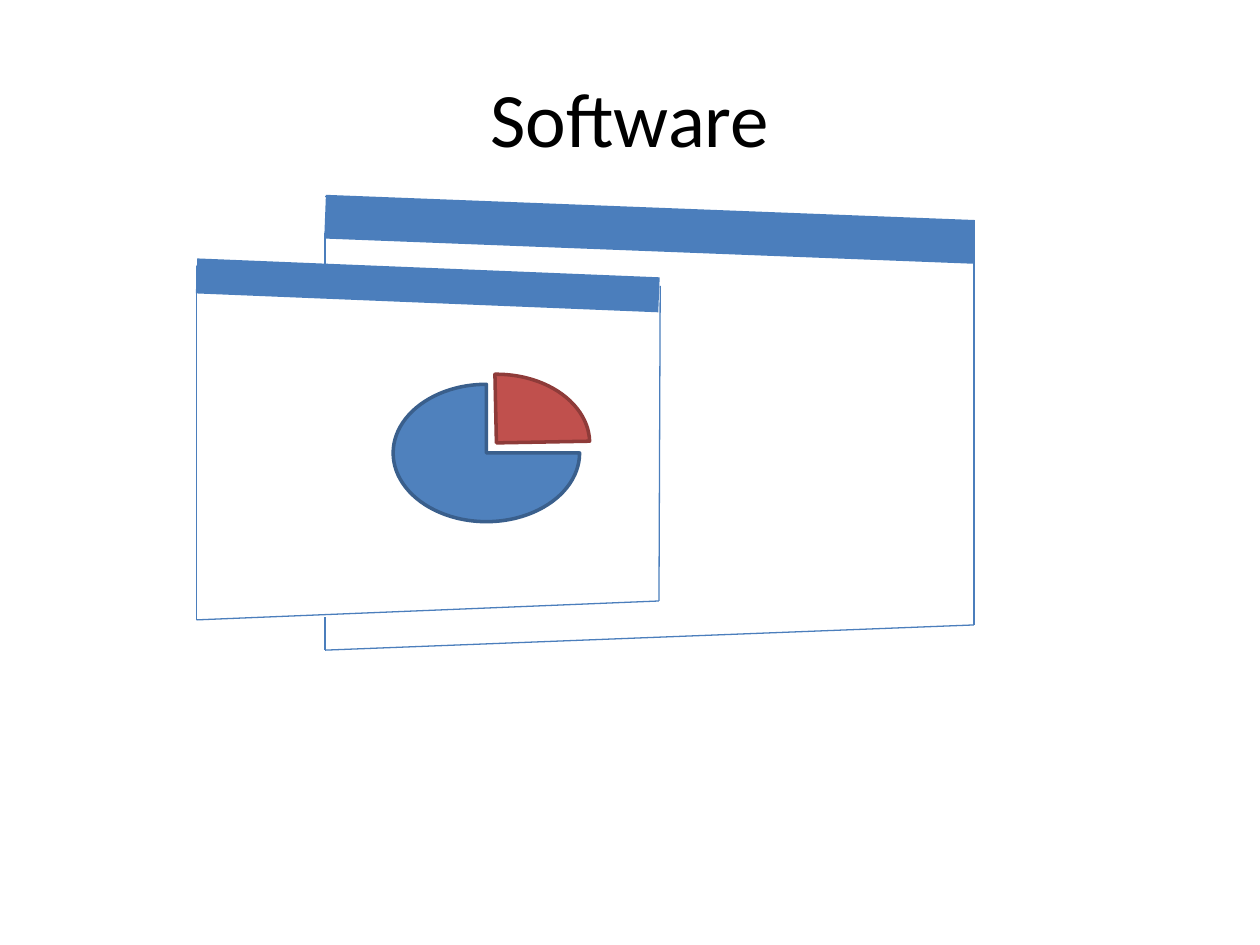
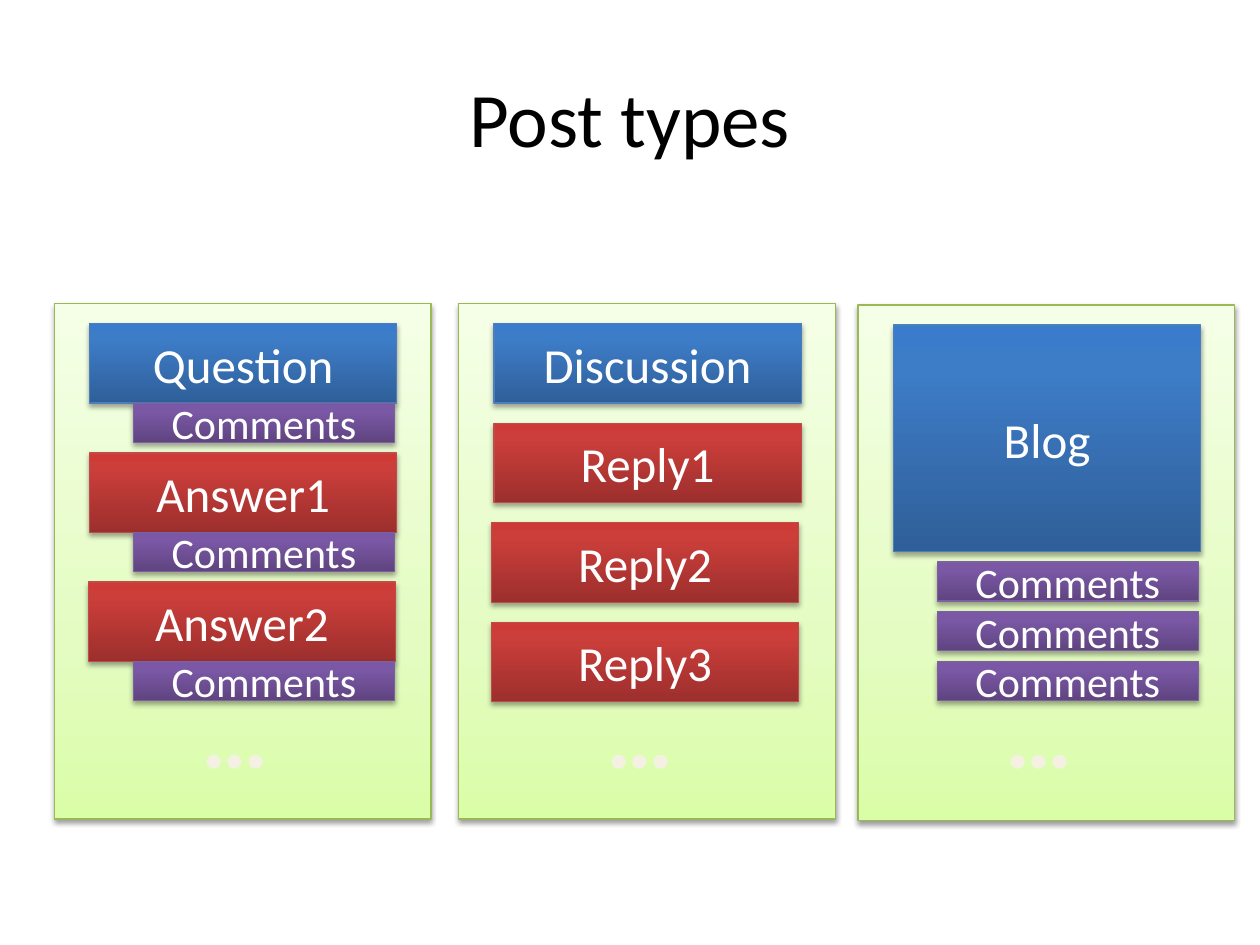
"""Build two slides: software windows with a pie, and columns of post types."""
import pptx
import pptx.util
import pptx.oxml
import pptx.oxml.ns
import pptx.dml.color
import pptx.enum.shapes
import pptx.enum.text
from pptx.util import Inches

FONT = "Calibri"
HUES = {
    "black": "000000", "white": "FFFFFF", "cream": "F4F1E3", "frame": "4B7EBC",
    "blue": "4F81BD", "navy": "3A5F8C", "red": "C0504D", "wine": "8E3B39",
}
STYLES = {
    "panel": {"stops": [(0, "DAFDA7"), (35, "E4FCC2"), (100, "F5FFE7")],
              "edge": "98B955", "alpha": 38, "drop": 1.6},
    "post": {"stops": [(0, "2F5F99"), (80, "3D7CC7"), (100, "3A7CCB")],
             "edge": "4B7EBC", "alpha": 35, "drop": 1.8},
    "reply": {"stops": [(0, "9C2F2D"), (80, "CB3E3A"), (100, "CE3B37")],
              "edge": "BF4C48", "alpha": 35, "drop": 1.8},
    "note": {"stops": [(0, "5F4480"), (80, "7B58A6"), (100, "7C57A8")],
             "edge": "7D60A0", "alpha": 35, "drop": 1.8},
}

THIN = 0.75
BACK = [
    ((2.58, 4.9), (2.58, 5.16), THIN),
    ((7.73, 1.76), (7.73, 4.96), THIN),
    ((2.58, 1.56), (7.73, 1.76), THIN),
    ((2.58, 5.16), (7.73, 4.96), THIN),
    ((2.58, 1.72), (7.73, 1.92), 25),
]
FRONT = [
    ((1.56, 2.11), (1.56, 4.92), THIN),
    ((5.24, 2.27), (5.23, 4.77), THIN),
    ((1.56, 2.11), (5.23, 2.27), THIN),
    ((1.56, 4.92), (5.23, 4.77), THIN),
    ((1.56, 2.19), (5.23, 2.34), 20),
    ((2.58, 1.85), (2.58, 2.11), THIN),
]
PIES = [
    (3.12, 3.05, "blue", "navy", ()),
    (3.2, 2.97, "red", "wine", (161.26, 215.37)),
]

NOTE = "Comments"
COLUMNS = [
    {"at": (0.43, 2.41), "tall": 0.63, "step": 1.025, "posts": ["Question", "Answer1", "Answer2"],
     "shift": [0, 0, -0.01], "notes": 0.79, "gap": 1.025},
    {"at": (3.64, 2.41), "tall": 0.63, "step": 0.79,
     "posts": ["Discussion", "Reply1", "Reply2", "Reply3"],
     "shift": [0, 0, -0.02, -0.02], "notes": None, "gap": 0},
    {"at": (6.81, 2.42), "tall": 1.8, "step": 0, "posts": ["Blog"],
     "shift": [0], "notes": 2.04, "gap": 0.395},
]


def tint(name):
    return pptx.dml.color.RGBColor.from_string(HUES.get(name, name))


def write(shape, text, size=28, hue="white", bold=False, wrap=True):
    frame = shape.text_frame
    frame.word_wrap = wrap
    para = frame.paragraphs[0]
    para.alignment = pptx.enum.text.PP_ALIGN.CENTER
    run = para.add_run()
    run.text = text
    font = run.font
    font.name, font.size, font.bold = FONT, pptx.util.Pt(size), bold
    font.color.rgb = tint(hue)
    return frame


def label(slide, text, box, middle=False, **form):
    shape = slide.shapes.add_textbox(*map(Inches, box))
    frame = write(shape, text, **form)
    if middle:
        frame.vertical_anchor = pptx.enum.text.MSO_ANCHOR.MIDDLE


def start(deck, title):
    slide = deck.slides.add_slide(deck.slide_layouts[6])
    label(slide, title, (0.5, 0.3, 9, 1.25), middle=True, size=44, hue="black")
    return slide


def stroke(slide, start, end, width):
    kind = pptx.enum.shapes.MSO_CONNECTOR.STRAIGHT
    line = slide.shapes.add_connector(kind, *map(Inches, start + end))
    line.line.color.rgb = tint("frame")
    line.line.width = pptx.util.Pt(width)
    line._element.spPr.append(pptx.oxml.parse_xml(
        f'<a:effectLst {pptx.oxml.ns.nsdecls("a")}/>'))


def form(slide, kind, box, edge, width):
    shape = slide.shapes.add_shape(kind, *map(Inches, box))
    shape.shadow.inherit = False
    shape.line.color.rgb = tint(edge)
    shape.line.width = pptx.util.Pt(width)
    return shape


def card(slide, box, style, text="", **font):
    look = STYLES[style]
    shape = form(slide, pptx.enum.shapes.MSO_SHAPE.RECTANGLE, box, look["edge"], THIN)
    space = pptx.oxml.ns.nsdecls("a")
    stops = "".join(f'<a:gs pos="{pos * 1000}"><a:srgbClr val="{hue}"/></a:gs>'
                    for pos, hue in look["stops"])
    props = shape._element.spPr
    props.insert(2, pptx.oxml.parse_xml(
        f'<a:gradFill {space} rotWithShape="1"><a:gsLst>{stops}</a:gsLst>'
        '<a:lin ang="16200000" scaled="0"/></a:gradFill>'))
    props.find(pptx.oxml.ns.qn("a:effectLst")).append(pptx.oxml.parse_xml(
        f'<a:outerShdw {space} blurRad="{pptx.util.Pt(3.1)}" '
        f'dist="{pptx.util.Pt(look["drop"])}" dir="5400000" rotWithShape="0">'
        f'<a:srgbClr val="{HUES["black"]}"><a:alpha val="{look["alpha"] * 1000}"/>'
        '</a:srgbClr></a:outerShdw>'))
    if text:
        frame = write(shape, text, **font)
        frame.vertical_anchor = pptx.enum.text.MSO_ANCHOR.MIDDLE


def windows(deck):
    slide = start(deck, "Software")
    for line in BACK + FRONT:
        stroke(slide, *line)
    for left, top, fill, edge, angles in PIES:
        pie = form(slide, pptx.enum.shapes.MSO_SHAPE.PIE, (left, top, 1.48, 1.09), edge, 2)
        pie.fill.solid()
        pie.fill.fore_color.rgb = tint(fill)
        for i, angle in enumerate(angles):
            pie.adjustments[i] = angle


def posts(deck):
    slide = start(deck, "Post types")
    for col in COLUMNS:
        left, top = col["at"]
        card(slide, (left, top, 2.99, 4.09), "panel")
        for i, text in enumerate(col["posts"]):
            box = (left + 0.28 + col["shift"][i], top + 0.16 + i * col["step"], 2.44, col["tall"])
            card(slide, box, "reply" if i else "post", text)
        if col["notes"]:
            for i in range(3):
                box = (left + 0.63, top + col["notes"] + i * col["gap"], 2.07, 0.31)
                card(slide, box, "note", NOTE, size=24)
        label(slide, "…", (left + 1.07, 5.3, 0.74, 1.01),
              size=54, hue="cream", bold=True, wrap=False)


def main():
    deck = pptx.Presentation()
    deck.slide_width, deck.slide_height = Inches(10), Inches(7.5)
    windows(deck)
    posts(deck)
    deck.save("out.pptx")


if __name__ == "__main__":
    main()
